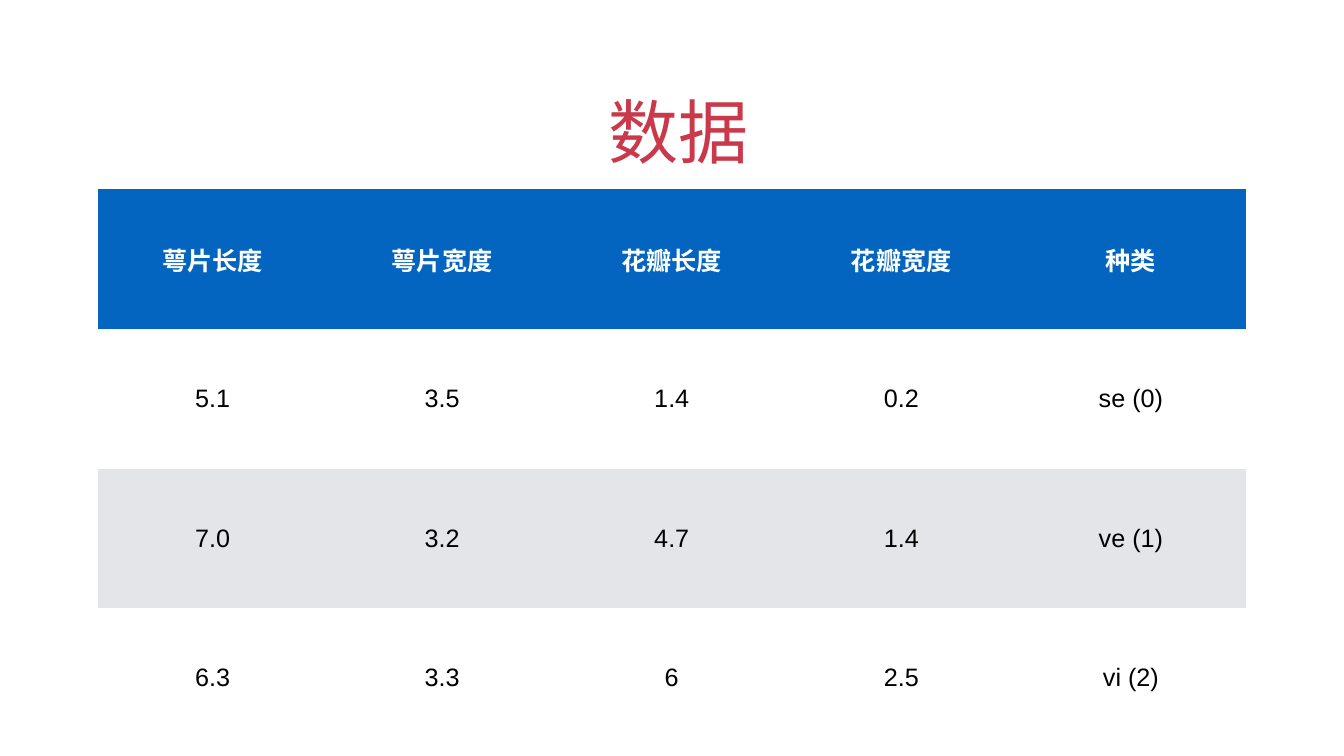
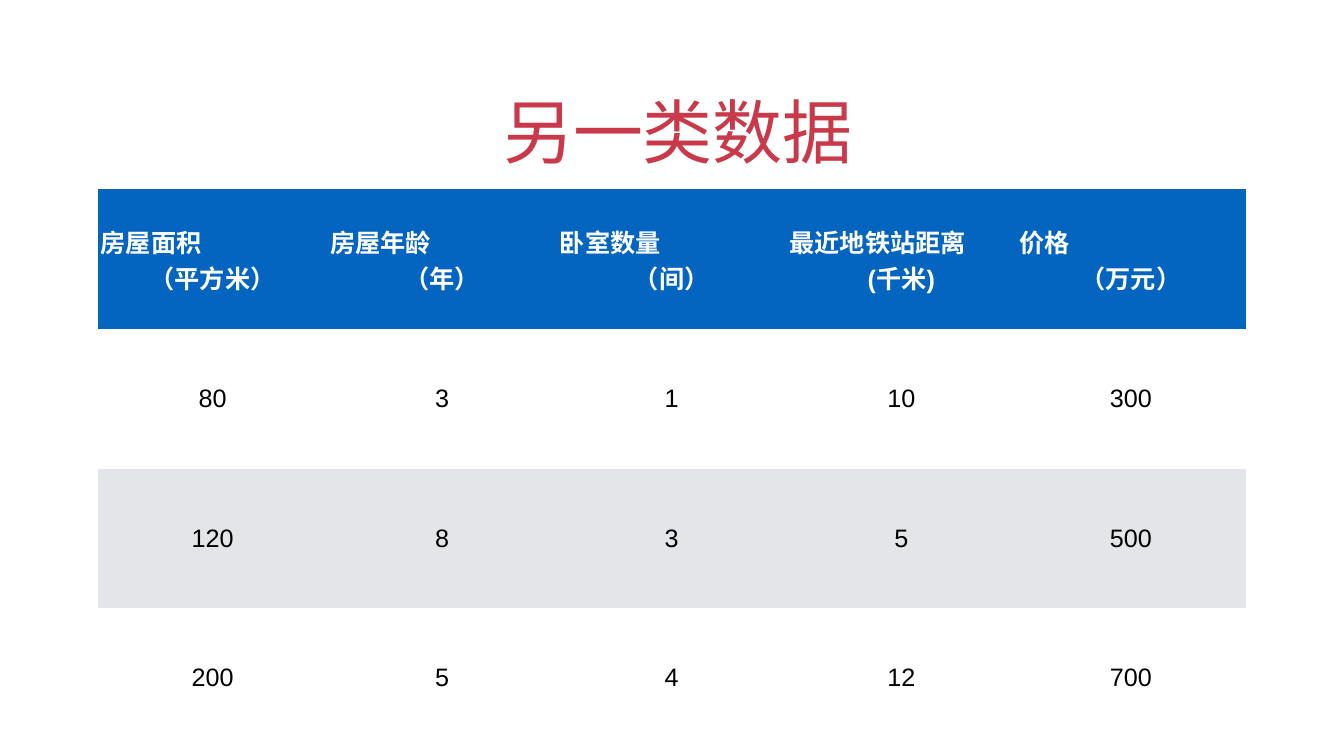
from pptx import Presentation
from pptx import util as u
from pptx.dml.color import RGBColor
from pptx.enum import text

RED = RGBColor(0xC9, 0x39, 0x4A)
BLUE = RGBColor(0x03, 0x65, 0xC0)
GREY = RGBColor(0xE3, 0xE5, 0xE8)
WHITE = RGBColor(0xFF, 0xFF, 0xFF)
BLACK = RGBColor(0, 0, 0)
ROW_FILLS = [BLUE, WHITE, GREY, WHITE]
NO_STYLE = "{2D5ABB26-0587-4C30-8999-92F81FD0307C}"

LEFT, WIDTH = u.Inches(1.94), u.Inches(22.78)
TITLE_TOP, TITLE_HEIGHT = u.Inches(1.27), u.Inches(2.22)
TABLE_TOP, TABLE_HEIGHT = u.Inches(3.76), u.Inches(11.08)
INSET = u.Inches(0.06)

SLIDES = [
    ("数据", [
        ["萼片长度", "萼片宽度", "花瓣长度", "花瓣宽度", "种类"],
        ["5.1", "3.5", "1.4", "0.2", "se (0)"],
        ["7.0", "3.2", "4.7", "1.4", "ve (1)"],
        ["6.3", "3.3", "6", "2.5", "vi (2)"],
    ]),
    ("另一类数据", [
        ["房屋面积\n（平方米）", "房屋年龄\n（年）", "卧室数量\n（间）",
         "最近地铁站距离\n(千米)", "价格\n（万元）"],
        ["80", "3", "1", "10", "300"],
        ["120", "8", "3", "5", "500"],
        ["200", "5", "4", "12", "700"],
    ]),
]


def style(paragraph, size, color, bold=False):
    paragraph.alignment = text.PP_ALIGN.CENTER
    paragraph.font.name = "Arial"
    paragraph.font.size = u.Pt(size)
    paragraph.font.bold = bold
    paragraph.font.color.rgb = color


def inset(holder):
    holder.margin_left = holder.margin_right = INSET
    holder.margin_top = holder.margin_bottom = INSET


deck = Presentation()
deck.slide_width, deck.slide_height = u.Inches(26.67), u.Inches(15)

for heading, rows in SLIDES:
    slide = deck.slides.add_slide(deck.slide_layouts[6])

    title = slide.shapes.add_textbox(LEFT, TITLE_TOP, WIDTH, TITLE_HEIGHT).text_frame
    title.word_wrap = True
    title.vertical_anchor = text.MSO_ANCHOR.BOTTOM
    inset(title)
    title.text = heading
    style(title.paragraphs[0], 100, RED)
    title.paragraphs[0].line_spacing = 1.0
    title.paragraphs[0]._p.get_or_add_pPr().set("indent", str(u.Inches(0.25)))

    frame = slide.shapes.add_table(len(rows), len(rows[0]), LEFT, TABLE_TOP, WIDTH, TABLE_HEIGHT)
    frame.element.xpath(".//a:tableStyleId")[0].text = NO_STYLE
    samples = frame.table
    samples.horz_banding = False

    for r, (values, fill) in enumerate(zip(rows, ROW_FILLS)):
        is_header = r == 0
        for c, value in enumerate(values):
            cell = samples.cell(r, c)
            cell.fill.solid()
            cell.fill.fore_color.rgb = fill
            cell.vertical_anchor = text.MSO_ANCHOR.MIDDLE
            inset(cell)
            cell.text = value
            lines = cell.text_frame.paragraphs
            for line in lines:
                style(line, 36, WHITE if is_header else BLACK, is_header)
            if len(lines) > 1:
                lines[0].alignment = text.PP_ALIGN.LEFT

deck.save("out.pptx")
